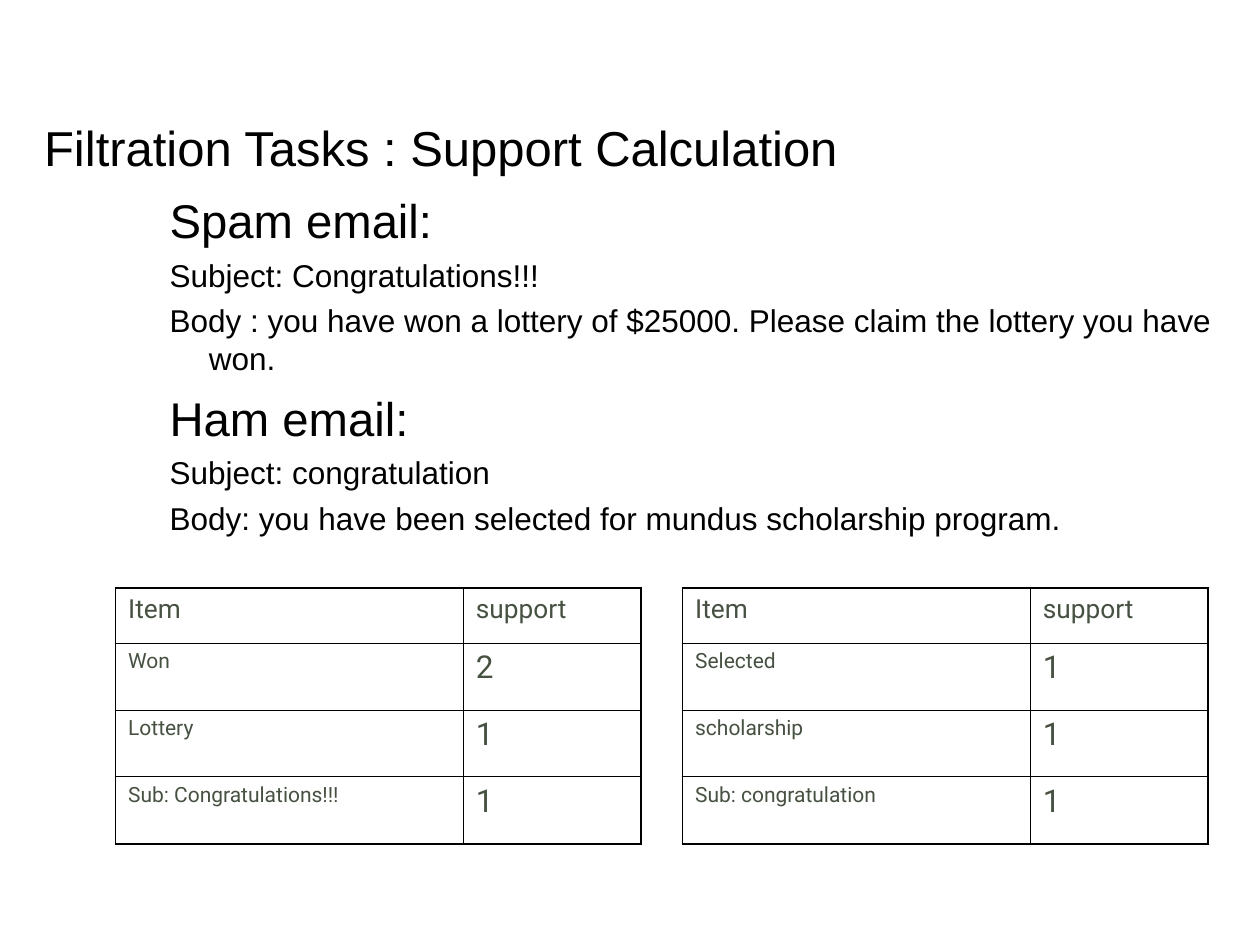
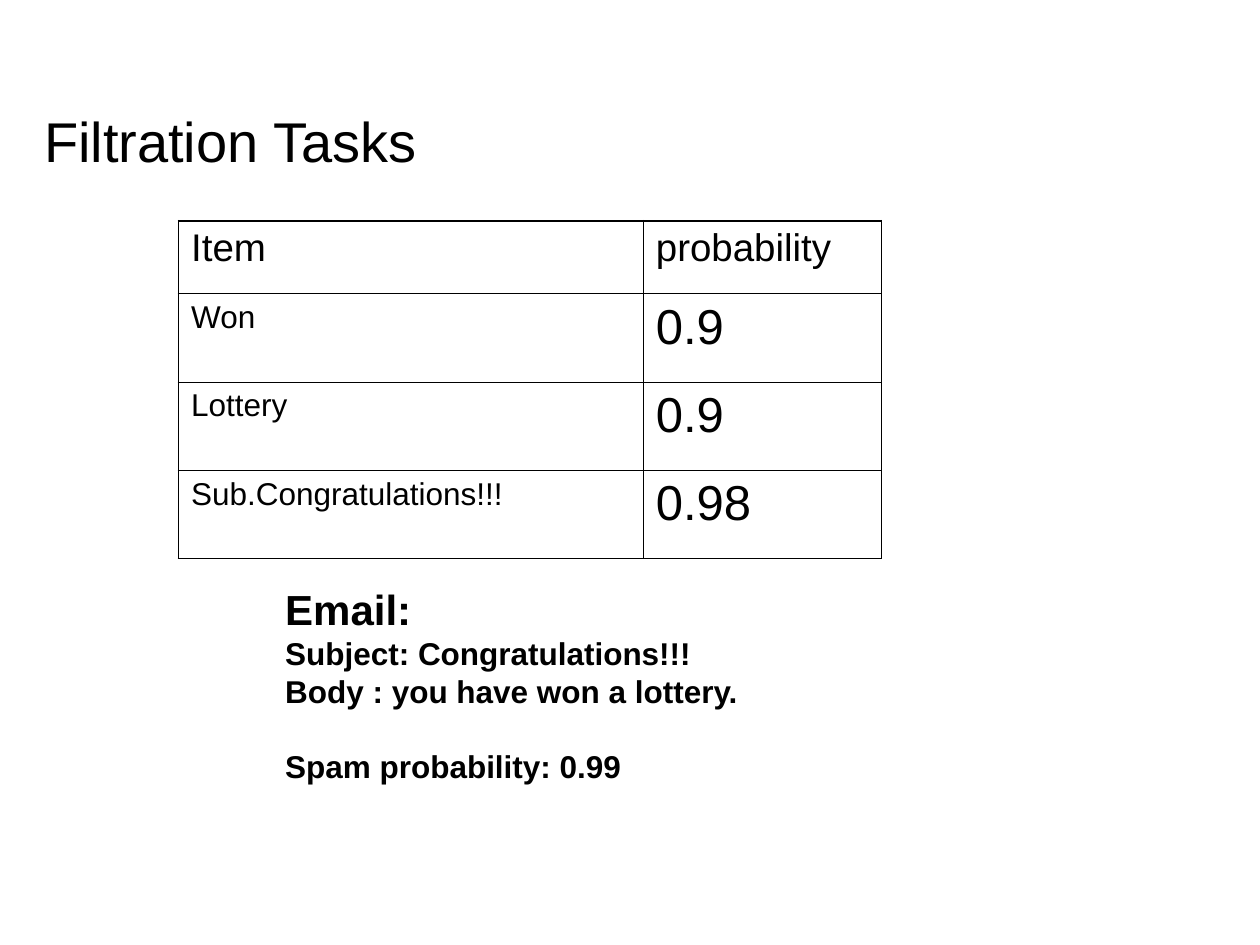
from pptx import Presentation
from pptx import util as u
from pptx.dml.color import RGBColor
from pptx.enum import text
from pptx.oxml.ns import qn
from lxml import etree

Cm, Pt = u.Cm, u.Pt

# Shared look
BLACK = RGBColor(0x00, 0x00, 0x00)
MOSS = RGBColor(0x46, 0x51, 0x42)
SANS = "Arial"
INSET = Cm(0.25)
OUTER_LINE, INNER_LINE = Pt(1.08), Pt(0.45)


def style(paragraph, size, color=BLACK, font=SANS, bold=False):
    for run in paragraph.runs:
        run.font.size = Pt(size)
        run.font.name = font
        run.font.color.rgb = color
        run.font.bold = bold


def add_titled_slide(deck, title, size, top, height):
    """Title-only slide with a left-aligned heading."""
    slide = deck.slides.add_slide(deck.slide_layouts[5])
    heading = slide.shapes.title
    heading.left, heading.top = Cm(0.64), Cm(top)
    heading.width, heading.height = Cm(22.86), Cm(height)
    frame = heading.text_frame
    frame.text = title
    frame.auto_size = text.MSO_AUTO_SIZE.NONE
    frame.vertical_anchor = text.MSO_ANCHOR.TOP
    frame.margin_left = frame.margin_top = INSET
    frame.margin_right = frame.margin_bottom = INSET
    frame.paragraphs[0].alignment = text.PP_ALIGN.LEFT
    style(frame.paragraphs[0], size)
    return slide


def add_email_text(slide, box, lines, margin, hanging=0, top_inset=0.13, bold=False):
    """Text block; each line is (wording, size, space before)."""
    frame = slide.shapes.add_textbox(*map(Cm, box)).text_frame
    frame.word_wrap = True
    frame.margin_left = frame.margin_right = INSET
    frame.margin_top = Cm(top_inset)
    for i, (wording, size, before) in enumerate(lines):
        paragraph = frame.paragraphs[0] if i == 0 else frame.add_paragraph()
        paragraph.text = wording
        if before:
            paragraph.space_before = Pt(before)
        properties = paragraph._p.get_or_add_pPr()
        properties.set("marL", str(Cm(margin)))
        properties.set("indent", str(-Cm(hanging)))
        style(paragraph, size, bold=bold)


def add_border(cell, side, width):
    line = etree.SubElement(cell._tc.get_or_add_tcPr(), qn(f"a:ln{side}"), w=str(width))
    fill = etree.SubElement(line, qn("a:solidFill"))
    etree.SubElement(fill, qn("a:srgbClr"), val=str(BLACK))


def add_item_table(slide, left, top, widths, heights, rows, sizes, color, font):
    """Item table; sizes are those of the header, the items and the values."""
    header_size, item_size, value_size = sizes
    last_row, last_col = len(rows) - 1, len(widths) - 1
    table = slide.shapes.add_table(
        len(rows), len(widths), Cm(left), Cm(top), Cm(sum(widths)), Cm(sum(heights))
    ).table
    table.first_row = table.horz_banding = False
    for column, width in zip(table.columns, widths):
        column.width = Cm(width)
    for r, row in enumerate(rows):
        table.rows[r].height = Cm(heights[r])
        for c, wording in enumerate(row):
            cell = table.cell(r, c)
            cell.text = wording
            size = header_size if r == 0 else (item_size, value_size)[c]
            style(cell.text_frame.paragraphs[0], size, color, font)
            # Heavy frame, thin inner grid
            edges = {"L": c == 0, "R": c == last_col, "T": r == 0, "B": r == last_row}
            for side, is_outer in edges.items():
                add_border(cell, side, OUTER_LINE if is_outer else INNER_LINE)
            cell.fill.background()


def build_support_slide(deck):
    slide = add_titled_slide(
        deck, "Filtration Tasks : Support Calculation", 28, 2.12, 1.06)
    emails = [
        ("Spam email:", 27, 0),
        ("Subject: Congratulations!!!", 18, 4.5),
        ("Body : you have won a lottery of $25000. "
         "Please claim the lottery you have won.", 18, 4.5),
        ("Ham email:", 27, 6.8),
        ("Subject: congratulation", 18, 4.5),
        ("Body: you have been selected for mundus scholarship program.", 18, 4.5),
    ]
    add_email_text(slide, (1.9, 3.6, 23.5, 8.04), emails,
                   margin=2.06, hanging=0.79, top_inset=0.25)

    # Spam counts on the left, ham counts on the right
    spam = [("Won", "2"), ("Lottery", "1"), ("Sub: Congratulations!!!", "1")]
    ham = [("Selected", "1"), ("scholarship", "1"), ("Sub: congratulation", "1")]
    widths, gap = (7.01, 3.58), 0.84
    for i, counts in enumerate((spam, ham)):
        add_item_table(slide, 2.33 + i * (sum(widths) + gap), 11.86, widths,
                       [1.1] + [1.35] * 3, [("Item", "support")] + counts,
                       (15, 12, 18), MOSS, "Roboto")


def build_probability_slide(deck):
    slide = add_titled_slide(deck, "Filtration Tasks", 32, 1.9, 1.35)
    probabilities = [("Item", "probability"), ("Won", "0.9"), ("Lottery", "0.9"),
                     ("Sub.Congratulations!!!", "0.98")]
    add_item_table(slide, 3.6, 4.45, (9.37, 4.8), [1.47] + [1.78] * 3,
                   probabilities, (22, 18, 28), BLACK, SANS)
    email = [
        ("Email:", 24, 0),
        ("Subject: Congratulations!!!", 18, 0),
        ("Body : you have won a lottery.", 18, 0),
        ("Spam probability: 0.99", 18, 21.5),
    ]
    add_email_text(slide, (4.23, 11.64, 12.7, 5.49), email, margin=1.27, bold=True)


def main():
    deck = Presentation()
    deck.slide_width, deck.slide_height = Cm(25.4), Cm(19.05)
    build_support_slide(deck)
    build_probability_slide(deck)
    deck.save("out.pptx")


if __name__ == "__main__":
    main()
